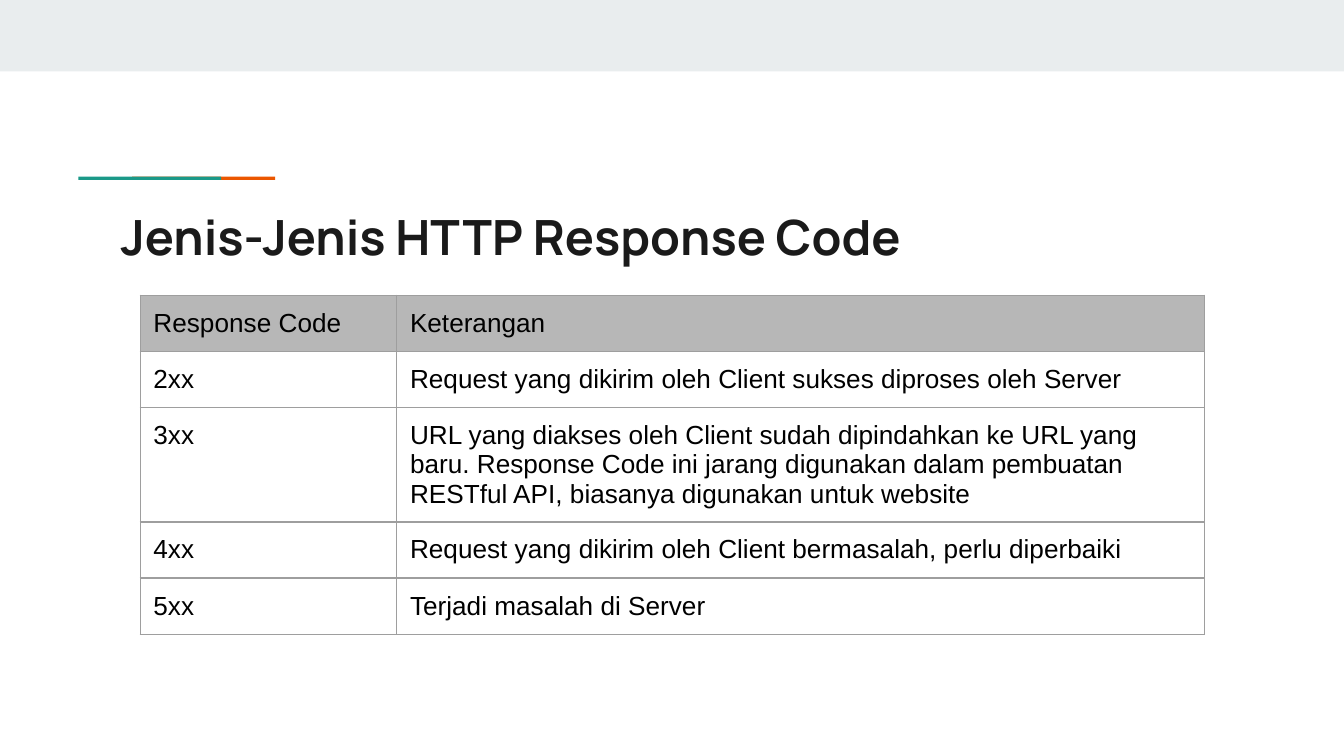
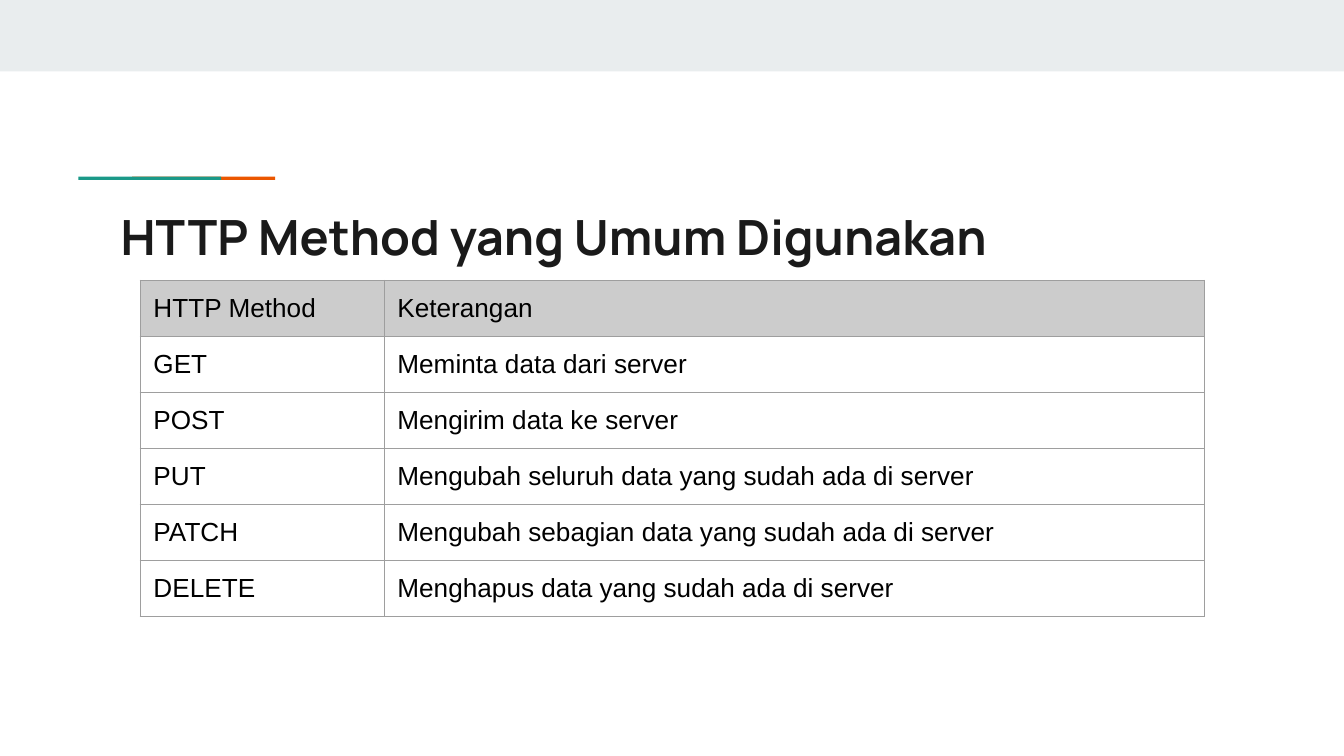
from dataclasses import dataclass

from lxml import etree
from pptx import Presentation
from pptx.dml.color import RGBColor
from pptx.enum import shapes, text
from pptx.oxml import ns
from pptx.util import Cm, Pt

COLORS = {
    "band": "E9EDEE",
    "orange": "EB5600",
    "teal": "1A9988",
    "title": "1A1A1A",
    "text": "000000",
    "border": "9E9E9E",
    "header_dark": "B7B7B7",
    "header_light": "CCCCCC",
}
INSET = Cm(0.25)
ROW_HEIGHT = Cm(1.06)


@dataclass(frozen=True)
class Bar:
    left: float
    top: float
    width: float
    height: float
    color: str


@dataclass(frozen=True)
class TableSlide:
    title: str
    top: float
    col_widths: tuple[float, float]
    header_color: str
    rows: tuple[tuple[str, str], ...]


BARS = (
    Bar(0, 0, 25.4, 1.35, "band"),
    Bar(2.5, 3.34, 2.7, 0.06, "orange"),
    Bar(1.48, 3.34, 2.7, 0.06, "teal"),
)

SLIDES = (
    TableSlide(
        "Jenis-Jenis HTTP Response Code", 5.58, (4.85, 15.26), "header_dark",
        (
            ("Response Code", "Keterangan"),
            ("2xx", "Request yang dikirim oleh Client sukses diproses oleh Server"),
            ("3xx", "URL yang diakses oleh Client sudah dipindahkan ke URL yang baru. "
                    "Response Code ini jarang digunakan dalam pembuatan RESTful API, "
                    "biasanya digunakan untuk website"),
            ("4xx", "Request yang dikirim oleh Client bermasalah, perlu diperbaiki"),
            ("5xx", "Terjadi masalah di Server"),
        ),
    ),
    TableSlide(
        "HTTP Method yang Umum Digunakan", 5.3, (4.61, 15.5), "header_light",
        (
            ("HTTP Method", "Keterangan"),
            ("GET", "Meminta data dari server"),
            ("POST", "Mengirim data ke server"),
            ("PUT", "Mengubah seluruh data yang sudah ada di server"),
            ("PATCH", "Mengubah sebagian data yang sudah ada di server"),
            ("DELETE", "Menghapus data yang sudah ada di server"),
        ),
    ),
)


def rgb(name: str) -> RGBColor:
    """Return the named colour."""
    return RGBColor.from_string(COLORS[name])


def set_font(p, name: str, size: float, color: str, bold: bool = False) -> None:
    """Format a whole paragraph."""
    p.font.name, p.font.size, p.font.bold = name, Pt(size), bold
    p.font.color.rgb = rgb(color)


def set_insets(box) -> None:
    """Give a text frame or table cell equal margins."""
    box.margin_left = box.margin_right = box.margin_top = box.margin_bottom = INSET


def add_bar(s, bar: Bar) -> None:
    """Draw one flat rectangle."""
    sp = s.shapes.add_shape(
        shapes.MSO_SHAPE.RECTANGLE,
        Cm(bar.left), Cm(bar.top), Cm(bar.width), Cm(bar.height),
    )
    sp.shadow.inherit = False
    sp.fill.solid()
    sp.fill.fore_color.rgb = rgb(bar.color)
    sp.line.fill.background()


def set_title(s, title: str) -> None:
    """Fill and place the title placeholder."""
    sp = s.shapes.title
    sp.left, sp.top, sp.width, sp.height = Cm(2.03), Cm(3.66), Cm(21.36), Cm(1.5)
    tf = sp.text_frame
    tf.text = title
    tf.word_wrap = True
    tf.auto_size = text.MSO_AUTO_SIZE.NONE
    tf.vertical_anchor = text.MSO_ANCHOR.TOP
    set_insets(tf)
    p = tf.paragraphs[0]
    p.alignment = text.PP_ALIGN.LEFT
    set_font(p, "Manrope", 26, "title", bold=True)


def set_borders(cell) -> None:
    """Draw a thin line on all four sides of a cell."""
    tc_pr = cell._tc.get_or_add_tcPr()
    for side in ("a:lnL", "a:lnR", "a:lnT", "a:lnB"):
        ln = etree.SubElement(tc_pr, ns.qn(side), w=str(Pt(0.75)))
        fill = etree.SubElement(ln, ns.qn("a:solidFill"))
        etree.SubElement(fill, ns.qn("a:srgbClr"), val=COLORS["border"])


def add_table(s, spec: TableSlide) -> None:
    """Add the two-column table with its shaded header row."""
    count = len(spec.rows)
    table = s.shapes.add_table(
        count, len(spec.col_widths), Cm(2.65), Cm(spec.top),
        Cm(sum(spec.col_widths)), ROW_HEIGHT * count,
    ).table
    table.first_row = table.horz_banding = False
    for column, width in zip(table.columns, spec.col_widths):
        column.width = Cm(width)
    for i, row in enumerate(spec.rows):
        table.rows[i].height = ROW_HEIGHT
        for j, value in enumerate(row):
            cell = table.cell(i, j)
            cell.text = value
            set_insets(cell)
            set_borders(cell)
            if i == 0:
                cell.fill.solid()
                cell.fill.fore_color.rgb = rgb(spec.header_color)
            else:
                cell.fill.background()
            set_font(cell.text_frame.paragraphs[0], "Arial", 14, "text")


def main() -> None:
    """Build and save the presentation."""
    prs = Presentation()
    prs.slide_width, prs.slide_height = Cm(25.4), Cm(14.29)
    for spec in SLIDES:
        s = prs.slides.add_slide(prs.slide_layouts[5])
        for bar in BARS:
            add_bar(s, bar)
        set_title(s, spec.title)
        add_table(s, spec)
    prs.save("out.pptx")


if __name__ == "__main__":
    main()
